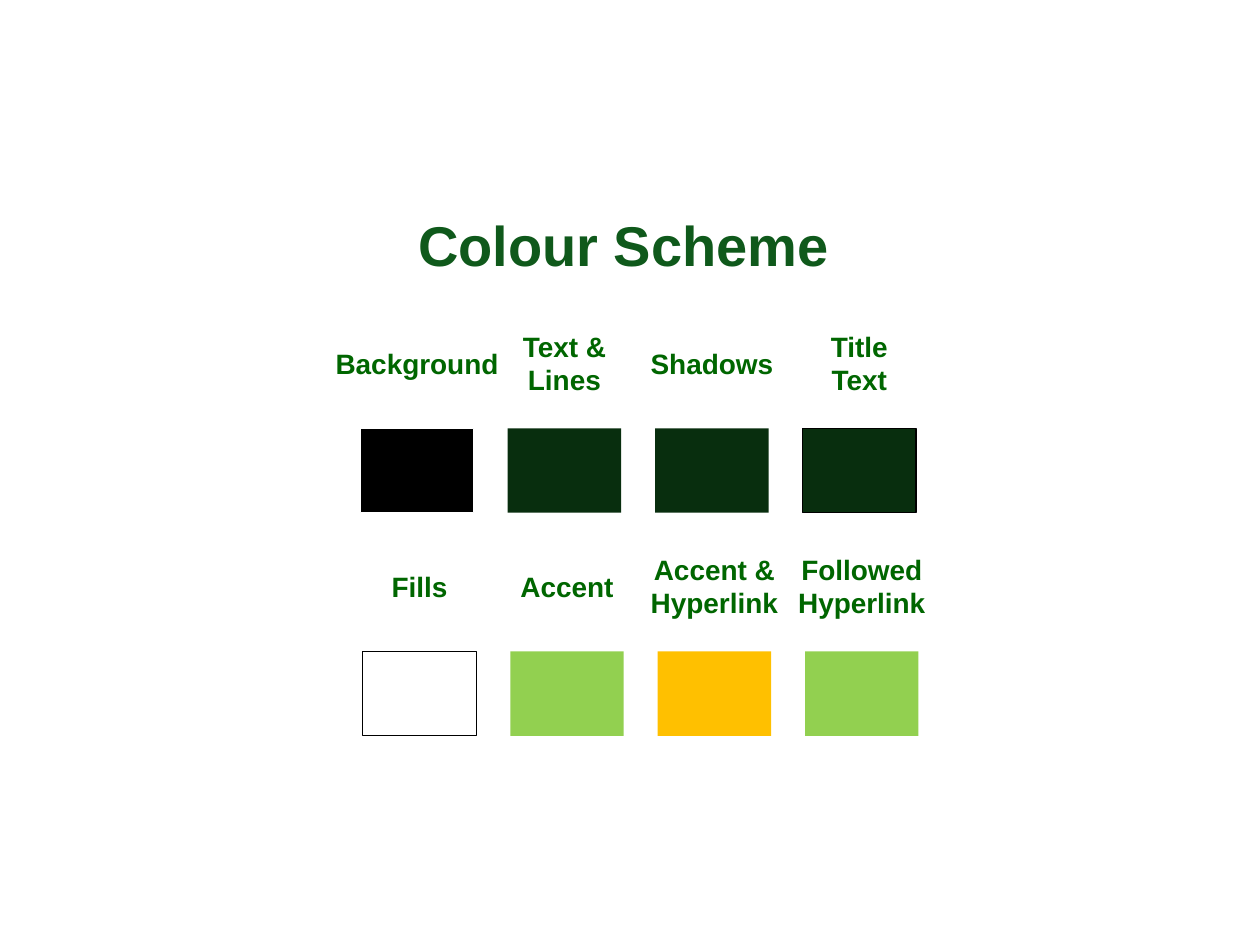
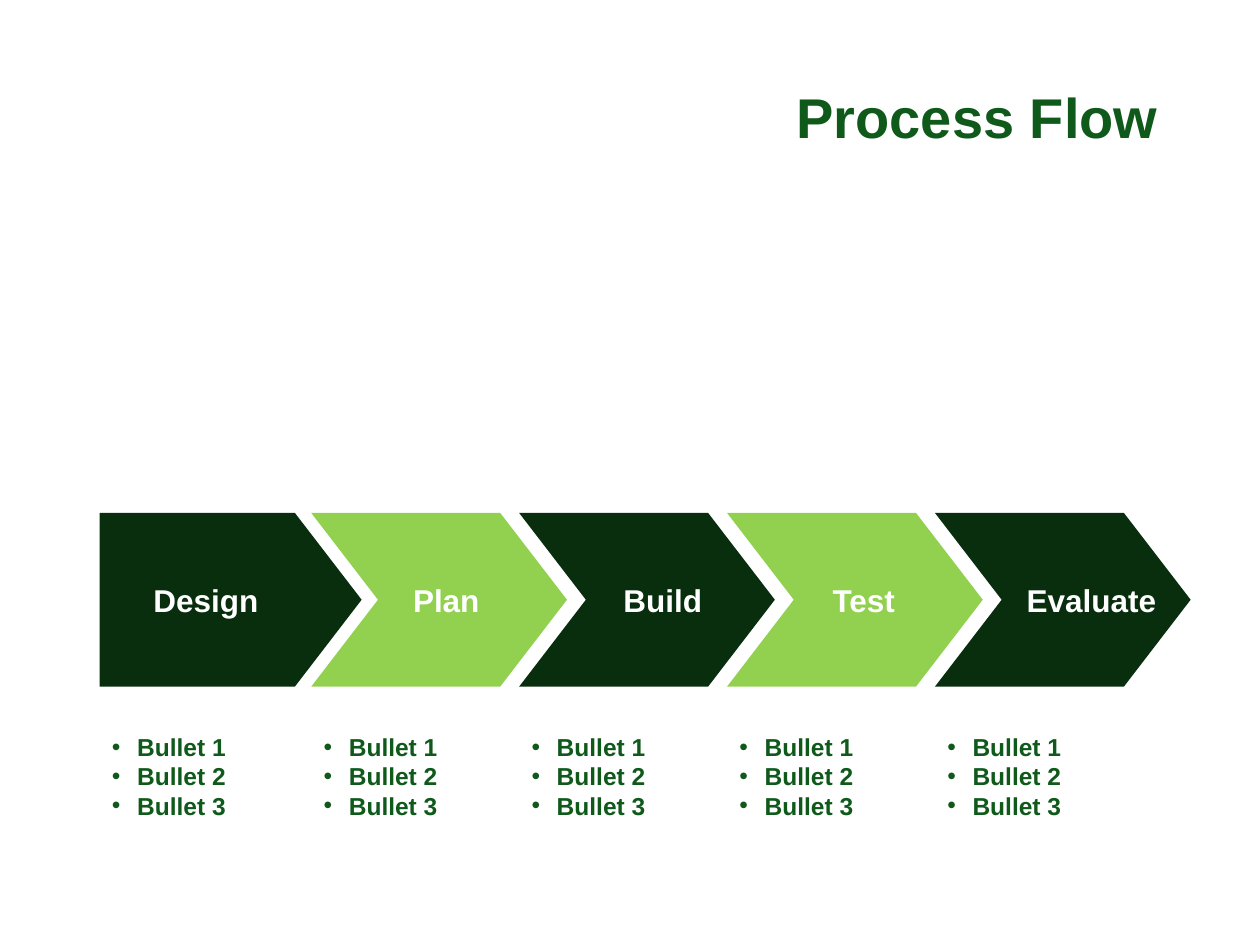
from lxml import etree
from pptx import Presentation
from pptx.dml.color import RGBColor
from pptx.enum.shapes import MSO_SHAPE
from pptx.enum.text import MSO_ANCHOR, MSO_AUTO_SIZE, PP_ALIGN
from pptx.oxml.ns import qn
from pptx.util import Inches, Pt

FONT = "Arial"
COLORS = {
    "title": "0F591B",
    "label": "006600",
    "dark": "082E0E",
    "light": "92D050",
    "gold": "FFC000",
    "black": "000000",
    "white": "FFFFFF",
}

SWATCH_W, SWATCH_H, SWATCH_PITCH = 0.9, 0.67, 1.17
LABEL_RISE = 0.515  # from the middle of a label down to the top of its swatch

# (left, top) of a row, then its swatches: label lines, label width, fill, outline
SWATCH_ROWS = [
    ((2.86, 3.4), [
        (["Background"], 1.51, "black", "white"),
        (["Text &", "Lines"], 0.87, "dark", None),
        (["Shadows"], 1.19, "dark", None),
        (["Title", "Text"], 0.66, "dark", "black"),
    ]),
    ((2.88, 5.17), [
        (["Fills"], 0.65, "white", "black"),
        (["Accent"], 0.95, "light", None),
        (["Accent &", "Hyperlink"], 1.23, "gold", None),
        (["Followed", "Hyperlink"], 1.23, "light", None),
    ]),
]

STEP_TOP, STEP_H, STEP_TIP = 4.07, 1.38, 0.53
FIRST_LEFT, FIRST_W = 0.79, 2.08
SECOND_LEFT, STEP_W, STEP_PITCH = 2.47, 2.03, 1.65

# name, left and width of its text box
STEPS = [
    ("Design", 1.12, 1.04),
    ("Plan", 3.18, 0.73),
    ("Build", 4.85, 0.83),
    ("Test", 6.51, 0.7),
    ("Evaluate", 8.05, 1.24),
]
BULLETS = ["Bullet 1", "Bullet 2", "Bullet 3"]


def rgb(name):
    return RGBColor.from_string(COLORS[name])


def write_text(frame, lines, *, size, color, align=PP_ALIGN.LEFT, bullet=False):
    """Fill a text frame with one bold paragraph per line."""
    for index, line in enumerate(lines):
        paragraph = frame.add_paragraph() if index else frame.paragraphs[0]
        paragraph.alignment = align
        run = paragraph.add_run()
        run.text = line
        run.font.name = FONT
        run.font.size = Pt(size)
        run.font.bold = True
        run.font.color.rgb = rgb(color)
        if bullet:
            properties = paragraph._p.get_or_add_pPr()
            properties.set("marL", str(Inches(0.2)))
            properties.set("indent", str(Inches(-0.2)))
            etree.SubElement(properties, qn("a:buFont"), typeface=FONT)
            etree.SubElement(properties, qn("a:buChar"), char="•")


def add_text(slide, lines, left, top, width, height, *, wrap=False, **style):
    box = slide.shapes.add_textbox(Inches(left), Inches(top), Inches(width), Inches(height))
    box.text_frame.word_wrap = wrap
    if not wrap:
        box.text_frame.auto_size = MSO_AUTO_SIZE.SHAPE_TO_FIT_TEXT
    write_text(box.text_frame, lines, **style)


def add_titled_slide(deck, text, left, top, width, align):
    slide = deck.slides.add_slide(deck.slide_layouts[5])
    title = slide.shapes.title
    title.left, title.top = Inches(left), Inches(top)
    title.width, title.height = Inches(width), Inches(1.25)
    title.text_frame.vertical_anchor = MSO_ANCHOR.MIDDLE
    write_text(title.text_frame, [text], size=32, color="title", align=align)
    return slide


def paint(shape, fill, outline=None):
    shape.shadow.inherit = False
    shape.fill.solid()
    shape.fill.fore_color.rgb = rgb(fill)
    if outline:
        shape.line.color.rgb = rgb(outline)
        shape.line.width = Pt(0.75)
    else:
        shape.line.fill.background()


def add_swatch(slide, left, top, lines, label_width, fill, outline):
    swatch = slide.shapes.add_shape(MSO_SHAPE.RECTANGLE, Inches(left), Inches(top),
                                    Inches(SWATCH_W), Inches(SWATCH_H))
    paint(swatch, fill, outline)
    label_height = 0.1 + 0.27 * len(lines)
    add_text(slide, lines, left + (SWATCH_W - label_width) / 2,
             top - LABEL_RISE - label_height / 2, label_width, label_height,
             size=16, color="label", align=PP_ALIGN.CENTER)


def add_step_arrow(slide, left, width, fill, notched):
    right, middle, bottom = left + width, STEP_TOP + STEP_H / 2, STEP_TOP + STEP_H
    shoulder = right - STEP_TIP
    points = [(left, STEP_TOP), (shoulder, STEP_TOP), (right, middle),
              (shoulder, bottom), (left, bottom)]
    if notched:
        points.append((left + STEP_TIP, middle))
    start, *rest = [(Inches(x), Inches(y)) for x, y in points]
    builder = slide.shapes.build_freeform(*start)
    builder.add_line_segments(rest, close=True)
    paint(builder.convert_to_shape(), fill)


def build_colour_scheme(deck):
    slide = add_titled_slide(deck, "Colour Scheme", 0.45, 1.31, 9, PP_ALIGN.CENTER)
    for (left, top), swatches in SWATCH_ROWS:
        for column, swatch in enumerate(swatches):
            add_swatch(slide, left + column * SWATCH_PITCH, top, *swatch)


def build_process_flow(deck):
    slide = add_titled_slide(deck, "Process Flow", 0.5, 0.3, 8.79, PP_ALIGN.RIGHT)
    for index, (name, name_left, name_width) in enumerate(STEPS):
        left = SECOND_LEFT + (index - 1) * STEP_PITCH if index else FIRST_LEFT
        width = STEP_W if index else FIRST_W
        add_step_arrow(slide, left, width, "light" if index % 2 else "dark", index > 0)
        add_text(slide, [name], name_left, 4.56, name_width, 0.4, size=18, color="white")
        add_text(slide, BULLETS, left, 5.76, 1.51, 2.57, wrap=True,
                 size=14, color="title", bullet=True)


def main():
    deck = Presentation()
    deck.slide_width, deck.slide_height = Inches(10), Inches(7.5)
    build_colour_scheme(deck)
    build_process_flow(deck)
    deck.save("out.pptx")


if __name__ == "__main__":
    main()
